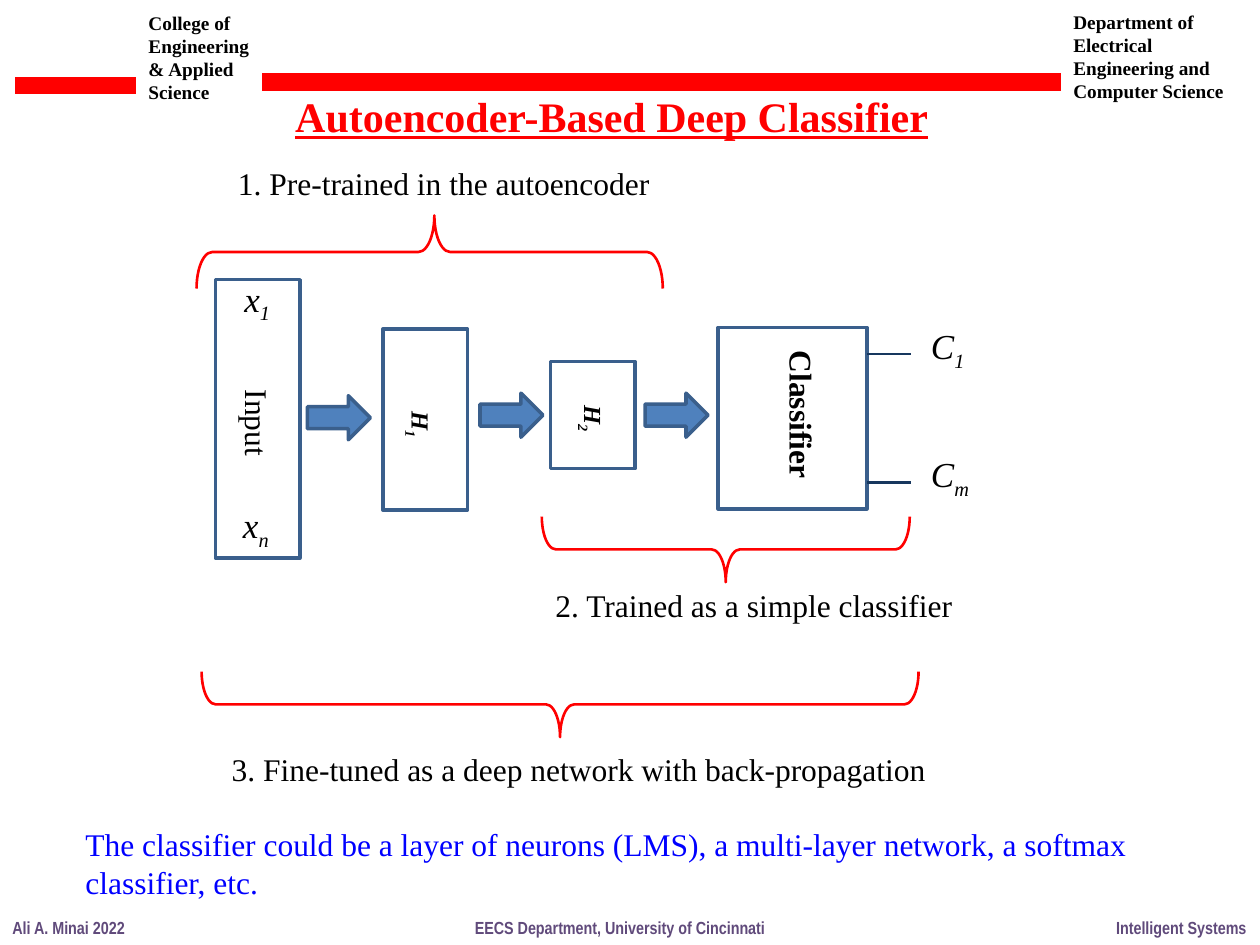
from typing import NamedTuple

from lxml.etree import SubElement
from pptx import Presentation
from pptx.dml.color import RGBColor
from pptx.enum.shapes import MSO_CONNECTOR, MSO_SHAPE
from pptx.enum.text import MSO_ANCHOR, MSO_AUTO_SIZE, PP_ALIGN
from pptx.oxml.ns import qn
from pptx.util import Inches, Pt

COLUMNS, ROWS = 100, 75
CELL = Inches(0.1)


class Theme:
    serif, narrow = "Times New Roman", "Arial Narrow"
    black, red, blue = "000000", "FF0000", "0000FF"
    purple, navy, steel, outline = "604A7B", "17375E", "4F81BD", "3A5F8C"
    title, symbol, text, layer, header, footer = 24, 20, 18, 14, 11, 10
    bar, border, thin = 10, 2, 1.5


class Box(NamedTuple):
    """A rectangle in grid columns and rows."""
    left: float
    top: float
    width: float
    height: float

    def inner(self, left, top, width, height):
        return Box(self.left + left, self.top + top, width, height)

    def turned(self):
        """The frame which covers this box after a quarter turn."""
        shift = (self.width - self.height) / 2
        return Box(self.left + shift, self.top - shift, self.height, self.width)

    def lengths(self):
        return [round(value * CELL) for value in self]


def color(value):
    return RGBColor.from_string(value)


def style(font, size, ink=Theme.black, face=Theme.serif, bold=False, italic=False):
    font.name, font.size, font.bold, font.italic = face, Pt(size), bold, italic
    font.color.rgb = color(ink)


def add_label(page, box, text, size, subscript="", rotation=0, wrap=False, **look):
    label = page.shapes.add_textbox(*box.lengths())
    label.rotation = rotation
    frame = label.text_frame
    frame.word_wrap = wrap
    frame.text = text
    for para in frame.paragraphs:
        style(para.font, size, **look)
    if subscript:
        span = frame.paragraphs[0].add_run()
        span.text = subscript
        span.font._element.set("baseline", "-25000")


def add_outline(page, kind, box, ink=Theme.outline, weight=Theme.border, fill=None):
    shape = page.shapes.add_shape(kind, *box.lengths())
    shape.shadow.inherit = False
    if fill:
        shape.fill.solid()
        shape.fill.fore_color.rgb = color(fill)
    else:
        shape.fill.background()
    shape.line.color.rgb = color(ink)
    shape.line.width = Pt(weight)
    return shape


def add_rule(page, box, ink, weight):
    """Draw a level line along the top of the box."""
    left, top, width, _ = box.lengths()
    rule = page.shapes.add_connector(MSO_CONNECTOR.STRAIGHT, left, top, left + width, top)
    rule.line.color.rgb = color(ink)
    rule.line.width = Pt(weight)
    SubElement(rule._element.spPr, qn("a:effectLst"))


def add_brace(page, box, rotation, middle=0.5):
    brace = add_outline(page, MSO_SHAPE.LEFT_BRACE, box.turned(), Theme.red, Theme.thin)
    brace.rotation = rotation
    brace.adjustments[0] = 0.215
    brace.adjustments[1] = middle


def add_header(page, box):
    for left, top, width in ((1.2, 6.8, 9.6), (20.8, 6.5, 63.4)):
        add_rule(page, box.inner(left, top, width, 0), Theme.red, Theme.bar)
    for left, top, width, text in (
        (10.8, 0.4, 10.9, "College of Engineering & Applied\nScience"),
        (84.2, 0.3, 14.7, "Department of Electrical Engineering and Computer Science"),
    ):
        add_label(page, box.inner(left, top, width, 8.4), text, Theme.header,
                  wrap=True, bold=True)


def add_title(page, box, text):
    title = page.shapes.title
    title.left, title.top, title.width, title.height = box.lengths()
    frame = title.text_frame
    frame.text = text
    frame.auto_size = MSO_AUTO_SIZE.NONE
    frame.word_wrap = False
    frame.vertical_anchor = MSO_ANCHOR.MIDDLE
    para = frame.paragraphs[0]
    para.alignment = PP_ALIGN.CENTER
    style(para.font, Theme.title, Theme.red, bold=True)
    para.font.underline = True


def add_network(page, box):
    pitch = 13.3
    layers = ((0, 6.7, 22.1), (3.9, 6.7, 14.4), (6.5, 6.7, 8.5), (3.8, 11.8, 14.4))
    for index, (top, width, height) in enumerate(layers):
        add_outline(page, MSO_SHAPE.RECTANGLE,
                    box.inner(index * pitch, top, width, height))

    for left, top in ((7.3, 9.2), (21, 9), (34.1, 9)):
        add_outline(page, MSO_SHAPE.RIGHT_ARROW, box.inner(left, top, 5, 3.5),
                    fill=Theme.steel)

    for left, top, width, height, text, subscript, size, bold, italic in (
        (-0.3, 9.4, 7.3, 4, "Input", "", Theme.text, False, False),
        (14.2, 9.9, 4.2, 3.4, "H", "1", Theme.layer, True, True),
        (27.9, 9.4, 4.2, 3.4, "H", "2", Theme.layer, True, True),
        (40.4, 8.8, 12.3, 4, "Classifier", "", Theme.text, True, False),
    ):
        add_label(page, box.inner(left, top, width, height), text, size, subscript,
                  rotation=90, bold=bold, italic=italic)

    for left, top, width, text, subscript in (
        (1.3, -0.7, 4.2, "x", "1"),
        (1.2, 17.3, 4.2, "x", "n"),
        (55.8, 3.1, 4.8, "C", "1"),
        (55.8, 13.2, 5.2, "C", "m"),
    ):
        add_label(page, box.inner(left, top, width, 4.4), text, Theme.symbol,
                  subscript, italic=True)

    for top in (5.9, 16.1):
        add_rule(page, box.inner(51.7, top, 3.5, 0), Theme.navy, Theme.thin)


def add_steps(page, box):
    """Place the three training steps, each a brace and its caption."""
    up, down = 90, 270
    add_brace(page, box.inner(0.6, 5.1, 37, 5.8), up, middle=0.49)
    add_brace(page, box.inner(28, 29, 29.2, 5.2), down)
    add_brace(page, box.inner(1, 41.3, 56.9, 5.2), down)
    for left, top, width, text in (
        (2.9, 0.5, 35, "1. Pre-trained in the autoencoder"),
        (28.1, 34, 33.9, "2. Trained as a simple classifier"),
        (2.4, 47, 57.7, "3. Fine-tuned as a deep network with back-propagation"),
    ):
        add_label(page, box.inner(left, top, width, 4), text, Theme.text)


def add_footer(page, box):
    for left, width, text in (
        (0, 11, "Ali A. Minai 2022"),
        (36.7, 25.2, "EECS Department, University of Cincinnati"),
        (87.6, 12.4, "Intelligent Systems"),
    ):
        add_label(page, box.inner(left, 0, width, box.height), text, Theme.footer,
                  ink=Theme.purple, face=Theme.narrow, bold=True)


def main():
    deck = Presentation()
    deck.slide_width, deck.slide_height = COLUMNS * CELL, ROWS * CELL
    page = deck.slides.add_slide(deck.slide_layouts.get_by_name("Title Only"))
    add_header(page, Box(0, 0, COLUMNS, 9))
    add_title(page, Box(21.5, 6.7, 54.1, 5), "Autoencoder-Based Deep Classifier")
    add_network(page, Box(17.1, 22.2, 61, 22.1))
    add_steps(page, Box(15, 12, 62, 51))
    add_label(page, Box(5.8, 65, 87.6, 7.1),
              "The classifier could be a layer of neurons (LMS), a multi-layer network, "
              "a softmax classifier, etc.", Theme.text, wrap=True, ink=Theme.blue)
    add_footer(page, Box(0, 72.3, COLUMNS, 2.7))
    deck.save("out.pptx")


if __name__ == "__main__":
    main()
